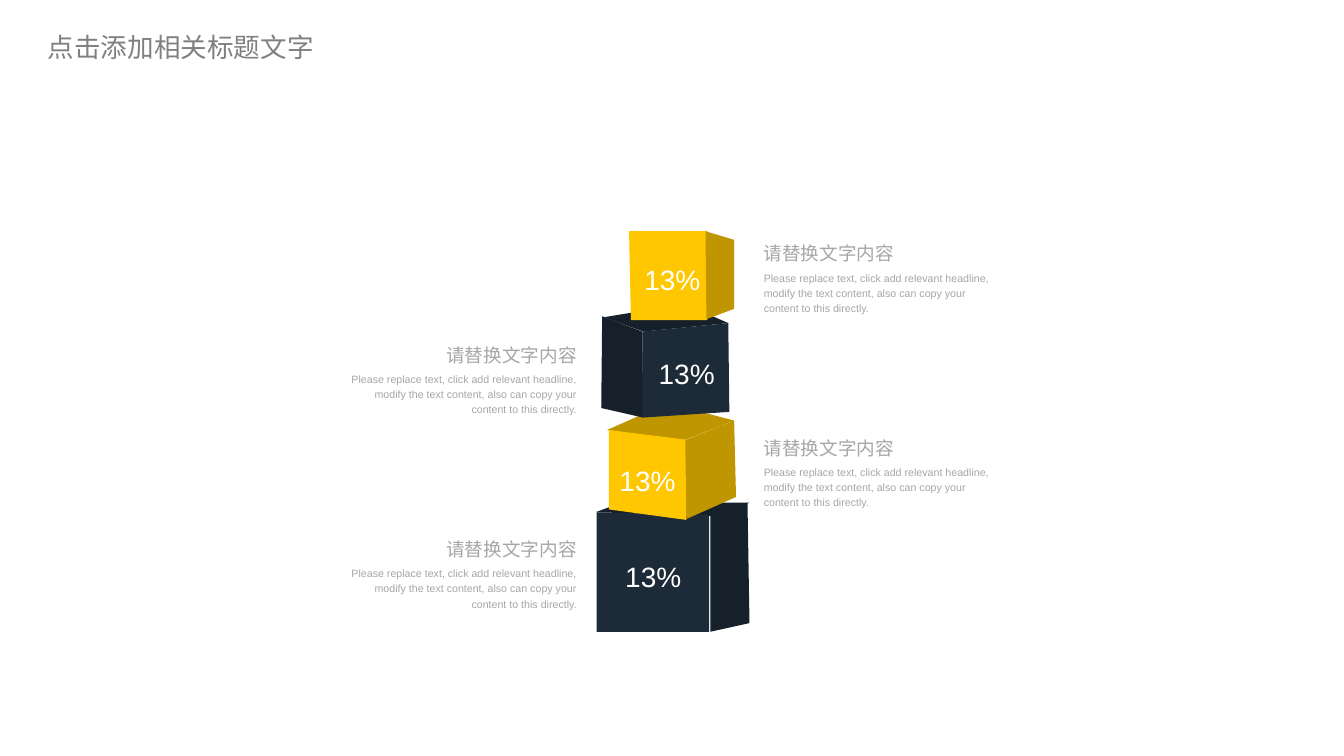
from dataclasses import dataclass

from lxml import etree
from pptx import Presentation
from pptx import util as u
from pptx.dml import color as dml
from pptx.enum import text as t
from pptx.oxml import ns

Point = tuple[float, float]

COLORS = {
    "gold": "FFC700", "gold_shade": "BF9500",
    "navy": "1D2B38", "navy_shade": "16202A",
    "title": "808080", "note": "A6A6A6", "share": "FFFFFF",
}
LATIN, CJK = "Arial", "Noto Sans CJK SC"
HEADING = "请替换文字内容"
BODY = ("Please replace text, click add relevant headline, modify the text "
        "content, also can copy your content to this directly.")


@dataclass
class Face:
    color: str
    corners: list[Point]


@dataclass
class Cube:
    faces: list[Face]
    share: str
    share_at: Point


@dataclass
class Note:
    top: float
    on_right: bool


# Cubes from the bottom of the stack to the top
CUBES = [
    Cube([Face("navy_shade", [(448.6, 385.9), (468, 378.7), (564.5, 378.7), (537.1, 388.8)]),
          Face("navy_shade", [(535, 388.1), (535, 475.9), (564.5, 469.4), (563, 378.7)]),
          Face("navy", [(449.3, 385.9), (449.3, 475.9), (534.2, 475.9), (534.2, 388.1)])],
         "13%", (470.9, 417.6)),
    Cube([Face("gold_shade", [(457.2, 324), (502.6, 303.8), (553, 316.8), (514.8, 331.9)]),
          Face("gold_shade", [(515.5, 331.9), (553, 316.8), (554.4, 374.4), (517, 391)]),
          Face("gold", [(458.6, 324), (458.6, 383.8), (517, 391.7), (516.2, 331.2)])],
         "13%", (466.6, 344.9)),
    Cube([Face("navy_shade", [(455, 239), (515.5, 229), (548.6, 243.4), (484.6, 249.8)]),
          Face("navy_shade", [(453.6, 238.3), (483.8, 249.8), (484.6, 314.6), (452.9, 307.4)]),
          Face("navy", [(548.6, 243.4), (483.8, 249.8), (483.8, 314.6), (549.4, 310.3)])],
         "13%", (496.1, 265)),
    Cube([Face("gold", [(473.8, 174.2), (532.8, 174.2), (532.8, 241.2), (475.2, 241.2)]),
          Face("gold_shade", [(531.4, 174.2), (553, 180.7), (553, 232.6), (532.1, 240.5)])],
         "13%", (485.3, 193.7)),
]

# Notes alternate right and left, in two pairs
PAIR_TOP, PAIR_STEP, LEFT_DROP = 179.3, 146.2, 76.3
NOTES = [Note(PAIR_TOP + pair * PAIR_STEP + (0 if on_right else LEFT_DROP), on_right)
         for pair in range(2) for on_right in (True, False)]
RIGHT_NOTES_START, LEFT_NOTES_END = 575.3, 434.5
HEADING_SIZE, BODY_SIZE = (105.8, 18.7), (173.5, 33.8)
BODY_DROP = 23.4


def rgb(name: str) -> dml.RGBColor:
    return dml.RGBColor.from_string(COLORS[name])


def add_run(paragraph, words: str, size: float, color: str, latin: str = LATIN) -> None:
    run = paragraph.add_run()
    run.text = words
    run.font.size = u.Pt(size)
    run.font.name = latin
    run.font.color.rgb = rgb(color)
    east_asian = etree.SubElement(run.font._element, ns.qn("a:ea"))
    east_asian.set("typeface", CJK)


def add_face(slide, face: Face) -> None:
    start, *others = [(u.Pt(x), u.Pt(y)) for x, y in face.corners]
    outline = slide.shapes.build_freeform(*start, scale=1.0)
    outline.add_line_segments(others, close=True)
    side = outline.convert_to_shape()
    side.shadow.inherit = False
    side.fill.solid()
    side.fill.fore_color.rgb = rgb(face.color)
    side.line.fill.background()


def add_text(slide, at: Point, extent: Point, words: str, size: float, color: str,
             align=t.PP_ALIGN.LEFT, anchor=t.MSO_ANCHOR.TOP, wrap: bool = True) -> None:
    frame = slide.shapes.add_textbox(*map(u.Pt, at + extent)).text_frame
    frame.margin_left = frame.margin_right = frame.margin_top = frame.margin_bottom = 0
    frame.word_wrap = wrap
    frame.auto_size = t.MSO_AUTO_SIZE.SHAPE_TO_FIT_TEXT
    frame.vertical_anchor = anchor
    paragraph = frame.paragraphs[0]
    paragraph.alignment = align
    paragraph.line_spacing = 1.2
    add_run(paragraph, words, size, color)


def add_note(slide, note: Note) -> None:
    align = t.PP_ALIGN.LEFT if note.on_right else t.PP_ALIGN.RIGHT
    parts = [(note.top, HEADING_SIZE, HEADING, 14),
             (note.top + BODY_DROP, BODY_SIZE, BODY, 8)]
    for top, extent, words, size in parts:
        left = RIGHT_NOTES_START if note.on_right else LEFT_NOTES_END - extent[0]
        add_text(slide, (left, top), extent, words, size, "note", align)


def set_title(slide, words: str) -> None:
    title = slide.shapes.title
    title.left, title.top, title.width, title.height = map(u.Pt, (28.8, 20.9, 241.2, 29.5))
    frame = title.text_frame
    frame.auto_size = t.MSO_AUTO_SIZE.NONE
    frame.vertical_anchor = t.MSO_ANCHOR.MIDDLE
    paragraph = frame.paragraphs[0]
    paragraph.alignment = t.PP_ALIGN.LEFT
    add_run(paragraph, words, 20, "title", CJK)


def main() -> None:
    deck = Presentation()
    deck.slide_width, deck.slide_height = u.Pt(1012.3), u.Pt(569.5)
    slide = deck.slides.add_slide(deck.slide_layouts[5])
    set_title(slide, "点击添加相关标题文字")

    # Stack of cubes, then the shares on their fronts
    for cube in CUBES:
        for face in cube.faces:
            add_face(slide, face)
    for cube in CUBES:
        add_text(slide, cube.share_at, (42.5, 28.1), cube.share, 21.1, "share",
                 anchor=t.MSO_ANCHOR.MIDDLE, wrap=False)

    # Notes beside the stack
    for note in NOTES:
        add_note(slide, note)
    deck.save("out.pptx")


if __name__ == "__main__":
    main()
